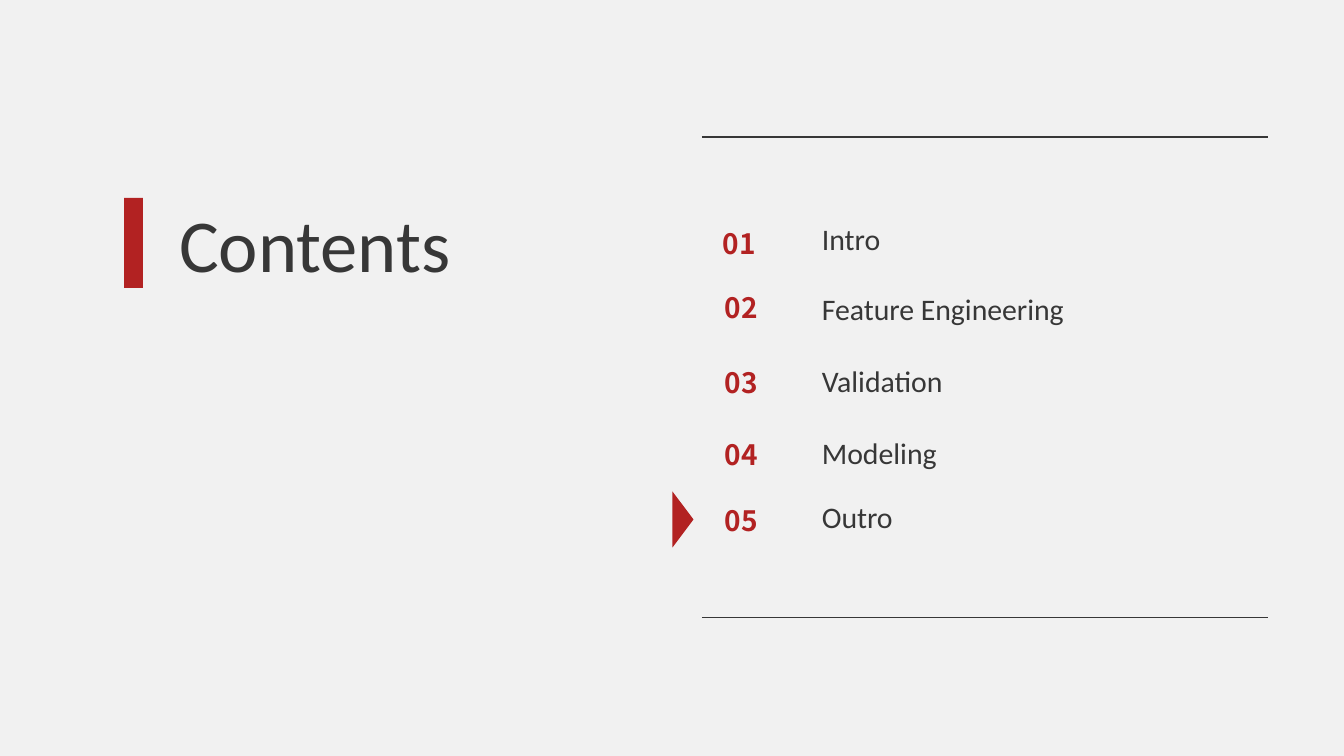
from lxml import etree
from pptx import Presentation
from pptx import util as u
from pptx.dml.color import RGBColor
from pptx.enum import shapes, text
from pptx.oxml.ns import qn

SCALE = 914400 / 100.8
INK, RED, PAPER = "373737", "B22222", "F1F1F1"
TITLE = {"name": "Calibri", "size": u.Pt(53.3)}
NUMBER = {"name": "Noto Sans CJK KR", "size": u.Pt(20), "bold": True}
ENTRY = {"name": "Calibri", "size": u.Pt(21.3)}
CONTENTS = [
    ("Intro", 723, 226, 0),
    ("Feature Engineering", 725, 290, 24.4),
    ("Validation", 725, 365, 26),
    ("Modeling", 725, 437, 26),
    ("Outro", 725, 503, 19.5),
]


def px(*lengths):
    """Turn pixel lengths into EMU."""
    return [u.Emu(round(n * SCALE)) for n in lengths]


def paint(color_format, value):
    """Set a colour from a hex string."""
    color_format.rgb = RGBColor.from_string(value)


def add_text(s, box, items, fmt, color, leading=None, inset=0):
    """Add a text box with one paragraph per (words, space before) item."""
    tf = s.shapes.add_textbox(*px(*box)).text_frame
    tf.word_wrap = True
    tf.auto_size = text.MSO_AUTO_SIZE.SHAPE_TO_FIT_TEXT
    if not inset:
        for side in ("left", "top", "right", "bottom"):
            setattr(tf, f"margin_{side}", 0)
    for i, (words, before) in enumerate(items):
        p = tf.add_paragraph() if i else tf.paragraphs[0]
        if before:
            p.space_before = u.Pt(before)
        if leading:
            p.line_spacing = u.Pt(leading)
        r = p.add_run()
        r.text = words
        for key, value in fmt.items():
            setattr(r.font, key, value)
        paint(r.font.color, color)


def add_rule(s, y):
    """Add a thin horizontal line above or below the list."""
    sp = s.shapes.add_connector(shapes.MSO_CONNECTOR.STRAIGHT, *px(702, y, 1268, y))
    sp.line.width = u.Pt(0.75)
    paint(sp.line.color, INK)
    etree.SubElement(sp._element.spPr, qn("a:effectLst"))


def add_mark(s, kind, box, rotation=0):
    """Add a solid red shape without an outline."""
    sp = s.shapes.add_shape(kind, *px(*box))
    sp.rotation = rotation
    sp.shadow.inherit = False
    sp.fill.solid()
    paint(sp.fill.fore_color, RED)
    sp.line.fill.background()


def main():
    """Build the contents slide."""
    prs = Presentation()
    prs.slide_width, prs.slide_height = px(1344, 756)
    s = prs.slides.add_slide(prs.slide_layouts[6])
    s.background.fill.solid()
    paint(s.background.fill.fore_color, PAPER)
    add_text(s, (179, 198, 508, 90), [("Contents", 0)], TITLE, INK, 64)
    for y in (137, 618):
        add_rule(s, y)
    for n, (_, x, y, _) in enumerate(CONTENTS, 1):
        add_text(s, (x, y, 131, 34), [(f"{n:02}", 0)], NUMBER, RED, 24)
    add_mark(s, shapes.MSO_SHAPE.RECTANGLE, (124, 198, 19, 90))
    add_mark(s, shapes.MSO_SHAPE.ISOSCELES_TRIANGLE, (655, 509, 56, 21), 90)
    entries = [(words, before) for words, _, _, before in CONTENTS]
    add_text(s, (812, 216, 386, 336), entries, ENTRY, INK, inset=True)
    prs.save("out.pptx")


if __name__ == "__main__":
    main()
